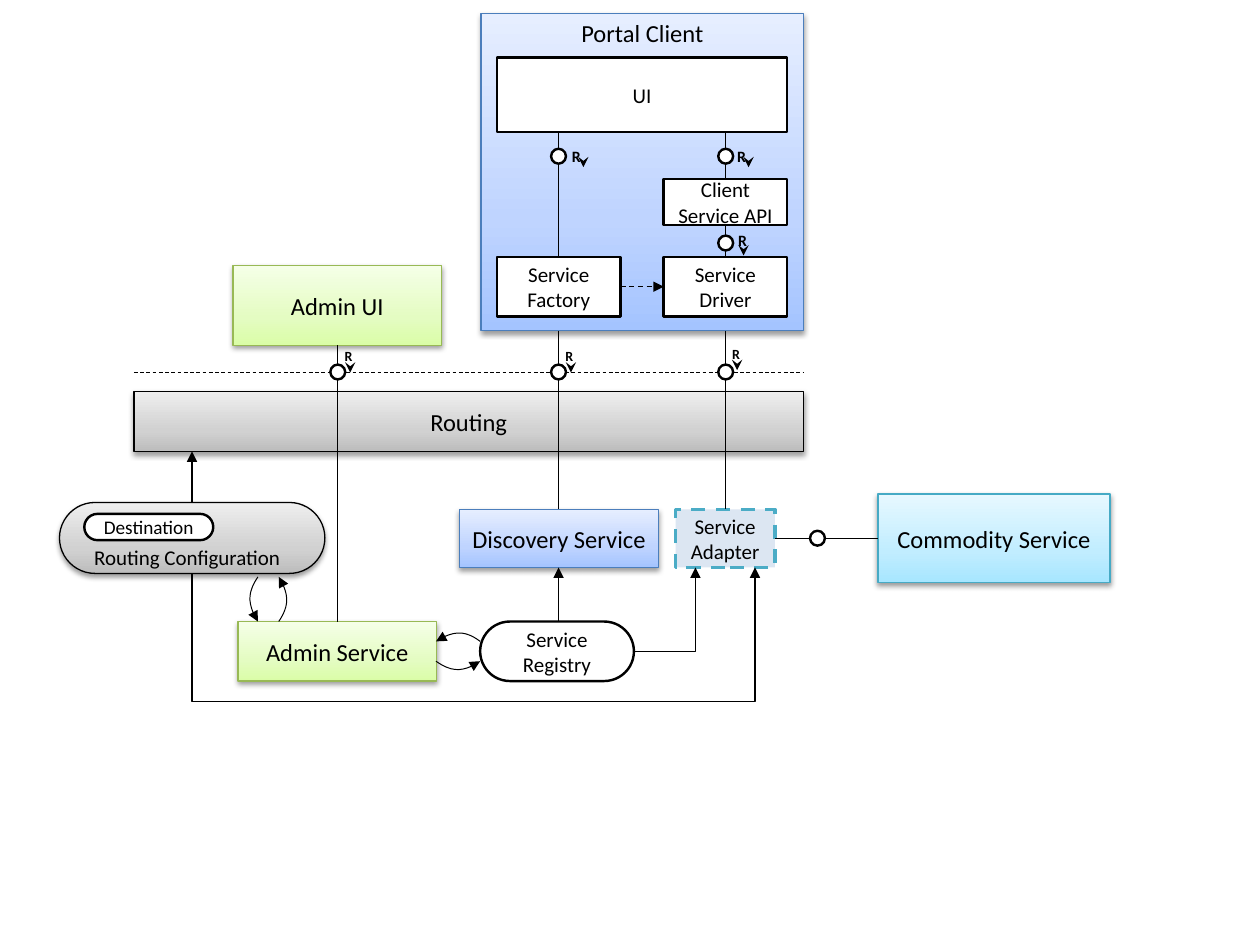
from dataclasses import dataclass
from typing import Optional

from pptx import Presentation
from pptx import util as u
from pptx.dml import color as c
from pptx.enum import dml, shapes, text
from pptx.oxml import ns
from lxml import etree

BLACK, WHITE = "000000", "FFFFFF"
GREY = ("BDBDBD", "D1D1D1", "EEEEEE")
GREEN = ("DAFDA7", "E4FCC2", "F5FFE7")
BLUE = ("A4C4FF", "BFD4FF", "E6EEFF")
CYAN = ("A7E6FF", "C1EDFF", "E7F8FF")
RECT = shapes.MSO_SHAPE.RECTANGLE
PILL = shapes.MSO_SHAPE.ROUNDED_RECTANGLE
RING = shapes.MSO_SHAPE.FLOWCHART_CONNECTOR
RING_SIZE = 0.3
ADMIN_X, FACTORY_X, DRIVER_X = 6.81, 11.26, 14.63
Point = tuple[float, float]


@dataclass
class Box:
    label: str
    left: float
    top: float
    width: float
    height: float
    fill: object = WHITE  # one colour, or three gradient stops from the bottom up
    line: str = BLACK
    weight: float = 0.75
    size: float = 14
    form: shapes.MSO_SHAPE = RECT
    anchor: text.MSO_ANCHOR = text.MSO_ANCHOR.MIDDLE
    dashed: bool = False


@dataclass
class Interface:
    """A vertical line with a ring and a request mark beside it."""
    x: float
    top: float
    bottom: float
    ring: float
    mark: Point
    arrow: Point
    size: float


BOXES = [
    Box("Routing", 2.7, 7.9, 13.5, 1.2, GREY),
    Box("Admin UI", 4.7, 5.36, 4.2, 1.6, GREEN, "98B955"),
    Box("Commodity Service", 17.7, 9.96, 4.68, 1.78, CYAN, "46AAC5"),
    Box("", 1.2, 10.13, 5.35, 1.43, GREY, form=PILL),
    Box("Destination", 1.7, 10.36, 2.6, 0.53, weight=1.4, size=11, form=PILL),
    Box("Service Registry", 9.68, 12.53, 3.1, 1.2, weight=1.4, size=12, form=PILL),
    Box("Admin Service", 4.8, 12.53, 4, 1.2, GREEN, "98B955"),
    Box("Discovery Service", 9.27, 10.27, 4, 1.17, BLUE, "4B7EBC"),
    Box("Service Adapter", 13.62, 10.27, 2, 1.17, "DCE6F2", "4BACC6", 2, 12, dashed=True),
    Box("Portal Client", 9.7, 0.27, 6.5, 6.4, BLUE, "4B7EBC", anchor=text.MSO_ANCHOR.TOP),
    Box("UI", 10.02, 1.16, 5.85, 1.5, weight=1.5, size=12),
    Box("Client Service API", 13.38, 3.61, 2.49, 0.93, weight=1.5, size=12),
    Box("Service Driver", 13.38, 5.18, 2.49, 1.2, weight=1.5, size=12),
    Box("Service Factory", 10.02, 5.18, 2.49, 1.2, weight=1.5, size=12),
]
INTERFACES = [
    Interface(ADMIN_X, 6.96, 12.53, 7.5, (6.95, 7.01), (7.06, 7.34), 8),
    Interface(FACTORY_X, 6.67, 10.27, 7.5, (11.4, 7.01), (11.51, 7.34), 8),
    Interface(DRIVER_X, 6.67, 10.27, 7.5, (14.76, 6.96), (14.86, 7.29), 8),
    Interface(FACTORY_X, 2.66, 5.18, 3.15, (11.53, 2.95), (11.76, 3.2), 9),
    Interface(DRIVER_X, 2.66, 3.61, 3.15, (14.86, 2.95), (15.09, 3.2), 9),
    Interface(DRIVER_X, 4.54, 5.18, 4.9, (14.88, 4.65), (14.99, 4.98), 9),
]
# Start, two control points, end
CURVES = [
    ((9.68, 12.93), (9.4, 12.72), (9.09, 12.72), (8.79, 12.93)),
    ((8.79, 13.33), (9.09, 13.54), (9.4, 13.54), (9.68, 13.33)),
    ((5.2, 11.63), (5, 11.93), (5, 12.23), (5.2, 12.53)),
    ((5.62, 12.53), (5.82, 12.23), (5.82, 11.93), (5.62, 11.63)),
]

deck = Presentation()
deck.slide_width, deck.slide_height = u.Cm(25.4), u.Cm(19.05)
page = deck.slides.add_slide(deck.slide_layouts[6])


def rgb(value: str) -> c.RGBColor:
    return c.RGBColor.from_string(value)


def sub(parent, tag: str, **attributes):
    return etree.SubElement(parent, ns.qn(tag), attributes)


def write(frame, words: str, size: float, bold: bool = False, inset: Optional[float] = 0.1,
          align=text.PP_ALIGN.CENTER, anchor=text.MSO_ANCHOR.TOP) -> None:
    frame.word_wrap = True
    frame.vertical_anchor = anchor
    if inset is not None:
        frame.margin_left = frame.margin_right = u.Cm(inset)
        frame.margin_top = frame.margin_bottom = u.Cm(inset)
    para = frame.paragraphs[0]
    para.alignment = align
    span = para.add_run()
    span.text = words
    span.font.name, span.font.size, span.font.bold = "Calibri", u.Pt(size), bold
    span.font.color.rgb = rgb(BLACK)


def label(words: str, left: float, top: float, width: float, height: float, **style) -> None:
    area = page.shapes.add_textbox(u.Cm(left), u.Cm(top), u.Cm(width), u.Cm(height))
    write(area.text_frame, words, **style)


def fill_gradient(shape, stops: tuple[str, ...]) -> None:
    shape.fill.gradient()
    shape.fill.gradient_angle = 90
    listing = shape._element.spPr.find(".//" + ns.qn("a:gsLst"))
    for stop in list(listing):
        listing.remove(stop)
    for place, value in zip((0, 35000, 100000), stops):
        sub(sub(listing, "a:gs", pos=str(place)), "a:srgbClr", val=value)


def add_shadow(shape) -> None:
    effects = shape._element.spPr.find(ns.qn("a:effectLst"))
    shadow = sub(effects, "a:outerShdw", blurRad=str(u.Pt(3.1)), dist=str(u.Pt(1.6)),
                 dir="5400000", rotWithShape="0")
    sub(sub(shadow, "a:srgbClr", val=BLACK), "a:alpha", val="38000")


def draw_box(box: Box) -> None:
    shape = page.shapes.add_shape(box.form, u.Cm(box.left), u.Cm(box.top),
                                  u.Cm(box.width), u.Cm(box.height))
    shape.shadow.inherit = False
    if box.form == PILL:
        shape.adjustments[0] = 0.5
    if isinstance(box.fill, str):
        shape.fill.solid()
        shape.fill.fore_color.rgb = rgb(box.fill)
    else:
        fill_gradient(shape, box.fill)
        add_shadow(shape)
    shape.line.color.rgb, shape.line.width = rgb(box.line), u.Pt(box.weight)
    if box.dashed:
        shape.line.dash_style = dml.MSO_LINE.DASH
    if box.label:
        write(shape.text_frame, box.label, box.size, anchor=box.anchor)


def draw_ring(x: float, y: float) -> None:
    draw_box(Box("", x - RING_SIZE / 2, y - RING_SIZE / 2, RING_SIZE, RING_SIZE,
                 weight=1.4, form=RING))


def style_line(line, weight: float, head: Optional[str], dashed: bool = False) -> None:
    line.color.rgb, line.width = rgb(BLACK), u.Pt(weight)
    if dashed:
        line.dash_style = dml.MSO_LINE.DASH
    if head:
        sub(line._get_or_add_ln(), "a:tailEnd", type=head)


def connect(start: Point, end: Point, weight: float = 0.7, head: Optional[str] = None,
            dashed: bool = False, kind=shapes.MSO_CONNECTOR.STRAIGHT):
    link = page.shapes.add_connector(kind, *(u.Cm(value) for value in start + end))
    style_line(link.line, weight, head, dashed)
    sub(link._element.spPr, "a:effectLst")
    return link


def draw_curve(points: tuple[Point, ...]) -> None:
    start, *rest = [(u.Cm(x), u.Cm(y)) for x, y in points]
    builder = page.shapes.build_freeform(*start)
    builder.add_line_segments(rest, close=False)
    shape = builder.convert_to_shape()
    shape.shadow.inherit = False
    shape.fill.background()
    style_line(shape.line, 0.57, "triangle")
    # Join the three segments into one cubic curve
    outline = shape._element.spPr.find(".//" + ns.qn("a:path"))
    segments = outline.findall(ns.qn("a:lnTo"))
    cubic = sub(outline, "a:cubicBezTo")
    for segment in segments:
        cubic.append(segment[0])
        outline.remove(segment)


def draw_interface(item: Interface) -> None:
    connect((item.x, item.top), (item.x, item.bottom))
    draw_ring(item.x, item.ring)
    x, y = item.arrow
    connect((x, y), (x, y + 0.17), head="stealth")
    label("R", *item.mark, 0.25, 0.35, size=item.size, bold=True, inset=0,
          align=text.PP_ALIGN.LEFT)


# Components
for component in BOXES:
    draw_box(component)
label("Routing Configuration", 1.2, 10.85, 5.15, 0.77, size=12, inset=None)

# Network boundary and interfaces
connect((2.7, 7.5), (16.2, 7.5), 0.5, dashed=True)
for interface in INTERFACES:
    draw_interface(interface)
connect((15.62, 10.85), (17.7, 10.85), 0.75)
draw_ring(16.48, 10.85)

# Straight and curved arrows
connect((FACTORY_X, 12.53), (FACTORY_X, 11.44), head="triangle")
connect((3.87, 10.13), (3.87, 9.1), head="triangle")
connect((12.51, 5.78), (13.38, 5.78), head="triangle", dashed=True)
for curve in CURVES:
    draw_curve(curve)

# Registry to adapter: one corner
ELBOW = shapes.MSO_CONNECTOR.ELBOW
corner = connect((12.78, 13.13), (14.02, 11.44), 0.75, "triangle", kind=ELBOW)
corner._element.spPr.find(ns.qn("a:prstGeom")).set("prst", "bentConnector2")

# Configuration to adapter: down, across and up, on a quarter-turned frame
left, right, start_y, end_y, low_y = 3.87, 15.22, 11.56, 11.44, 14.15
span_x, span_y = right - left, start_y - end_y
detour = connect((left, start_y), (right, end_y), 0.75, "triangle", kind=ELBOW)
detour.left, detour.top = u.Cm((left + right - span_y) / 2), u.Cm((start_y + end_y - span_x) / 2)
detour.width, detour.height = u.Cm(span_y), u.Cm(span_x)
for name, value in (("rot", "5400000"), ("flipH", "1"), ("flipV", "1")):
    detour._element.spPr.find(ns.qn("a:xfrm")).set(name, value)
bend = round((start_y - low_y) / span_y * 100000)
sub(detour._element.spPr.find(".//" + ns.qn("a:avLst")), "a:gd", name="adj1", fmla=f"val {bend}")

deck.save("out.pptx")
